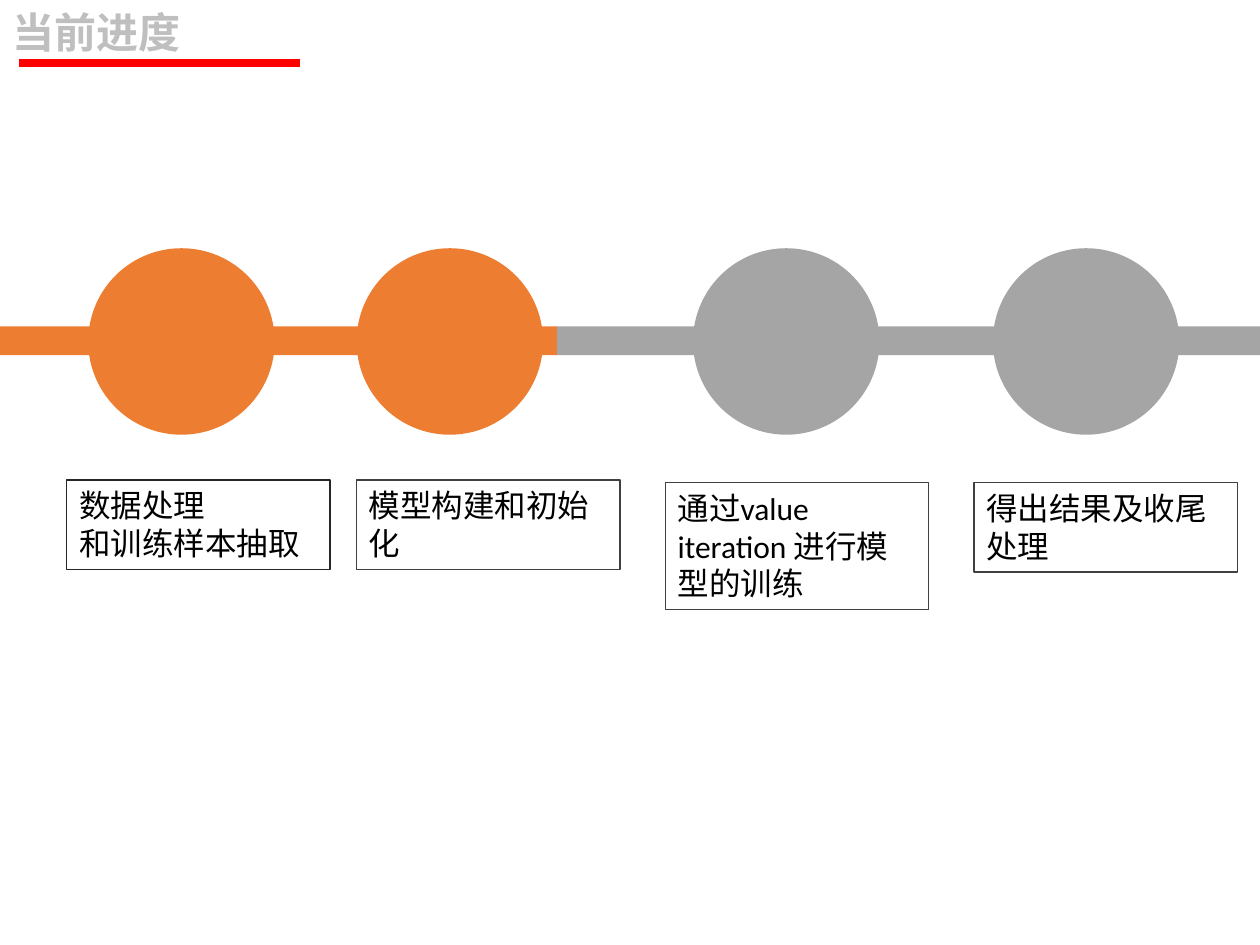
from dataclasses import dataclass

from lxml import etree
from pptx import Presentation
from pptx import util as u
from pptx.dml.color import RGBColor
from pptx.enum import shapes, text
from pptx.oxml.ns import qn


@dataclass(frozen=True)
class Theme:
    font: str = "Calibri"
    title_size: int = 24
    label_size: int = 18
    title: str = "BFBFBF"
    underline: str = "FF0000"
    done: str = "ED7D31"
    pending: str = "A5A5A5"
    body: str = "000000"
    dark_border: str = "262626"
    border: str = "404040"


def write_text(frame, content, *, font, size, color, bold=False):
    frame.text = content
    frame.word_wrap = True
    frame.vertical_anchor = text.MSO_ANCHOR.TOP
    frame.margin_left = frame.margin_right = u.Inches(0.1)
    frame.margin_top = frame.margin_bottom = u.Inches(0.05)
    for paragraph in frame.paragraphs:
        paragraph.alignment = text.PP_ALIGN.LEFT
        for run in paragraph.runs:
            run.font.name = font
            run.font.size = u.Pt(size)
            run.font.bold = bold
            run.font.color.rgb = RGBColor.from_string(color)
    frame.auto_size = text.MSO_AUTO_SIZE.SHAPE_TO_FIT_TEXT


class ProgressSlide:
    """Draws the elements of a progress slide in one theme."""

    def __init__(self, slide, theme):
        self.slide = slide
        self.theme = theme

    def title(self, content, left, top, width, height):
        heading = self.slide.shapes.title
        heading.left, heading.top = u.Inches(left), u.Inches(top)
        heading.width, heading.height = u.Inches(width), u.Inches(height)
        write_text(heading.text_frame, content, font=self.theme.font,
                   size=self.theme.title_size, color=self.theme.title, bold=True)

    def underline(self, left, right, y):
        rule = self.slide.shapes.add_connector(
            shapes.MSO_CONNECTOR.STRAIGHT,
            u.Inches(left), u.Inches(y), u.Inches(right), u.Inches(y))
        rule.line.color.rgb = RGBColor.from_string(self.theme.underline)
        rule.line.width = u.Pt(4.5)
        etree.SubElement(rule.line._get_or_add_ln().getparent(), qn("a:effectLst"))

    def shape(self, kind, left, top, width, height):
        outline = self.slide.shapes.add_shape(
            kind, u.Inches(left), u.Inches(top), u.Inches(width), u.Inches(height))
        outline.shadow.inherit = False
        return outline

    def solid(self, kind, left, top, width, height, color):
        block = self.shape(kind, left, top, width, height)
        block.fill.solid()
        block.fill.fore_color.rgb = RGBColor.from_string(color)
        block.line.fill.background()

    def label(self, content, left, top, width, height, border):
        box = self.shape(shapes.MSO_SHAPE.RECTANGLE, left, top, width, height)
        box.fill.background()
        box.line.color.rgb = RGBColor.from_string(border)
        box.line.width = u.Pt(0.75)
        write_text(box.text_frame, content, font=self.theme.font,
                   size=self.theme.label_size, color=self.theme.body)


def main():
    deck = Presentation()
    deck.slide_width, deck.slide_height = u.Inches(10), u.Inches(7.5)
    theme = Theme()
    page = ProgressSlide(deck.slides.add_slide(deck.slide_layouts[5]), theme)

    page.title("当前进度", 0, 0, 8.62, 0.5)
    page.underline(0.15, 2.38, 0.5)

    split = 4.42
    for left, right, color in ((0, split, theme.done), (split, 10, theme.pending)):
        page.solid(shapes.MSO_SHAPE.RECTANGLE, left, 2.59, right - left, 0.23, color)

    diameter, label_width = 1.48, 2.09
    stages = (
        ("数据处理\n和训练样本抽取", 0.7, theme.done, 0.53, 3.81, 0.71, theme.dark_border),
        ("模型构建和初始化", 2.83, theme.done, 2.83, 3.81, 0.71, theme.border),
        ("通过value iteration 进行模型的训练", 5.5, theme.pending, 5.28, 3.83, 1.01,
         theme.border),
        ("得出结果及收尾处理", 7.88, theme.pending, 7.73, 3.83, 0.71, theme.border),
    )
    for content, dot_left, color, label_left, label_top, label_height, border in stages:
        page.solid(shapes.MSO_SHAPE.OVAL, dot_left, 1.97, diameter, diameter, color)
        page.label(content, label_left, label_top, label_width, label_height, border)

    deck.save("out.pptx")


if __name__ == "__main__":
    main()
